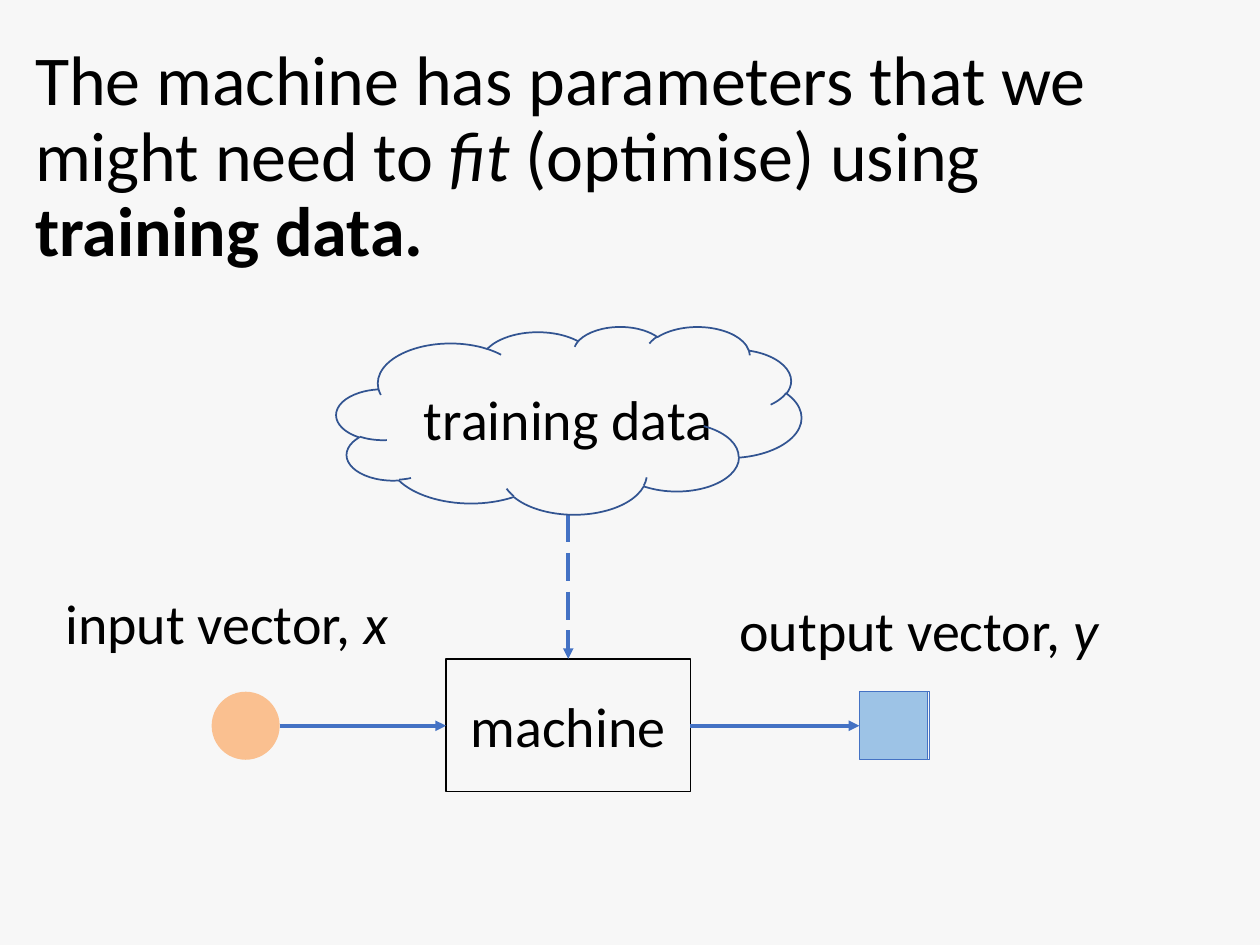
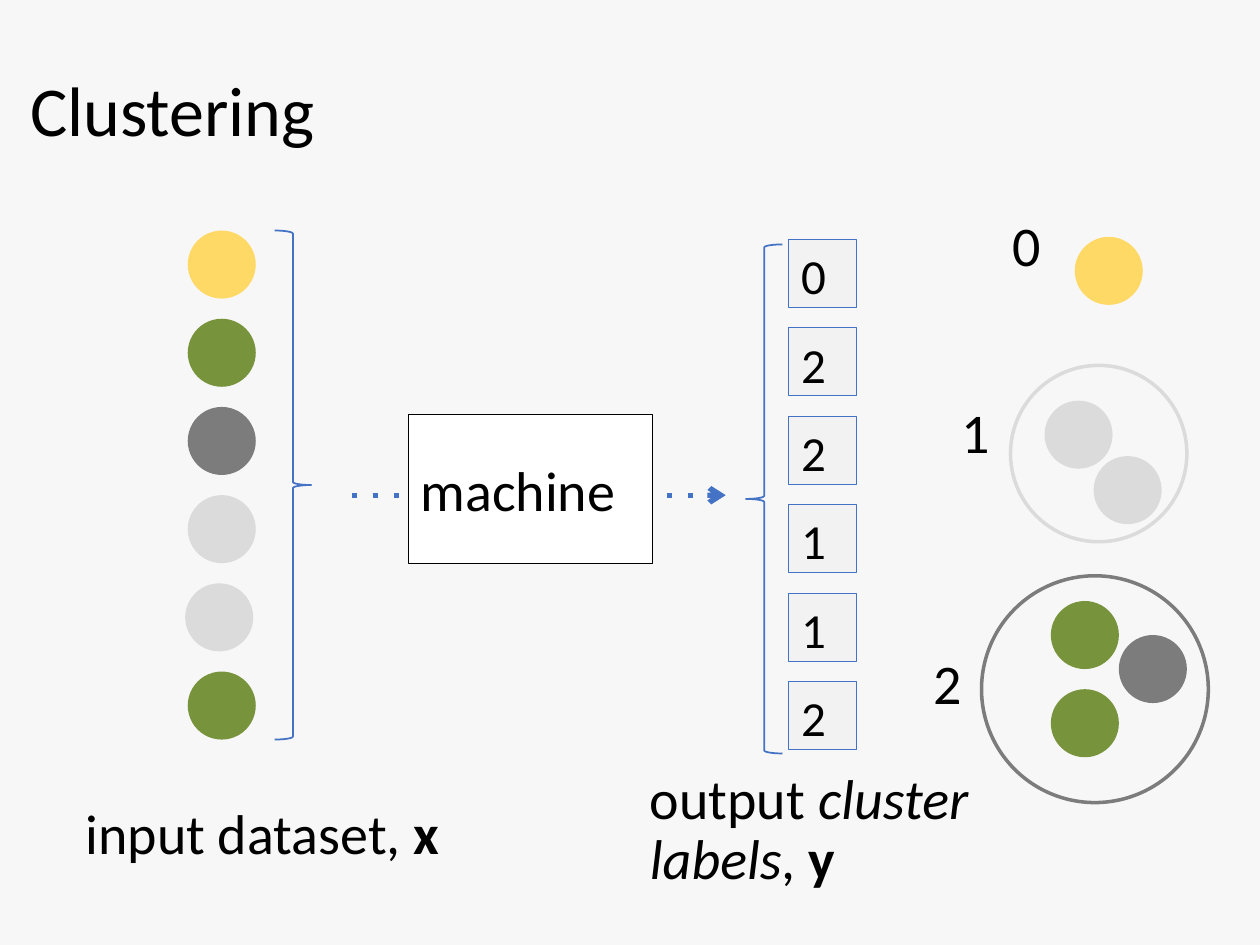
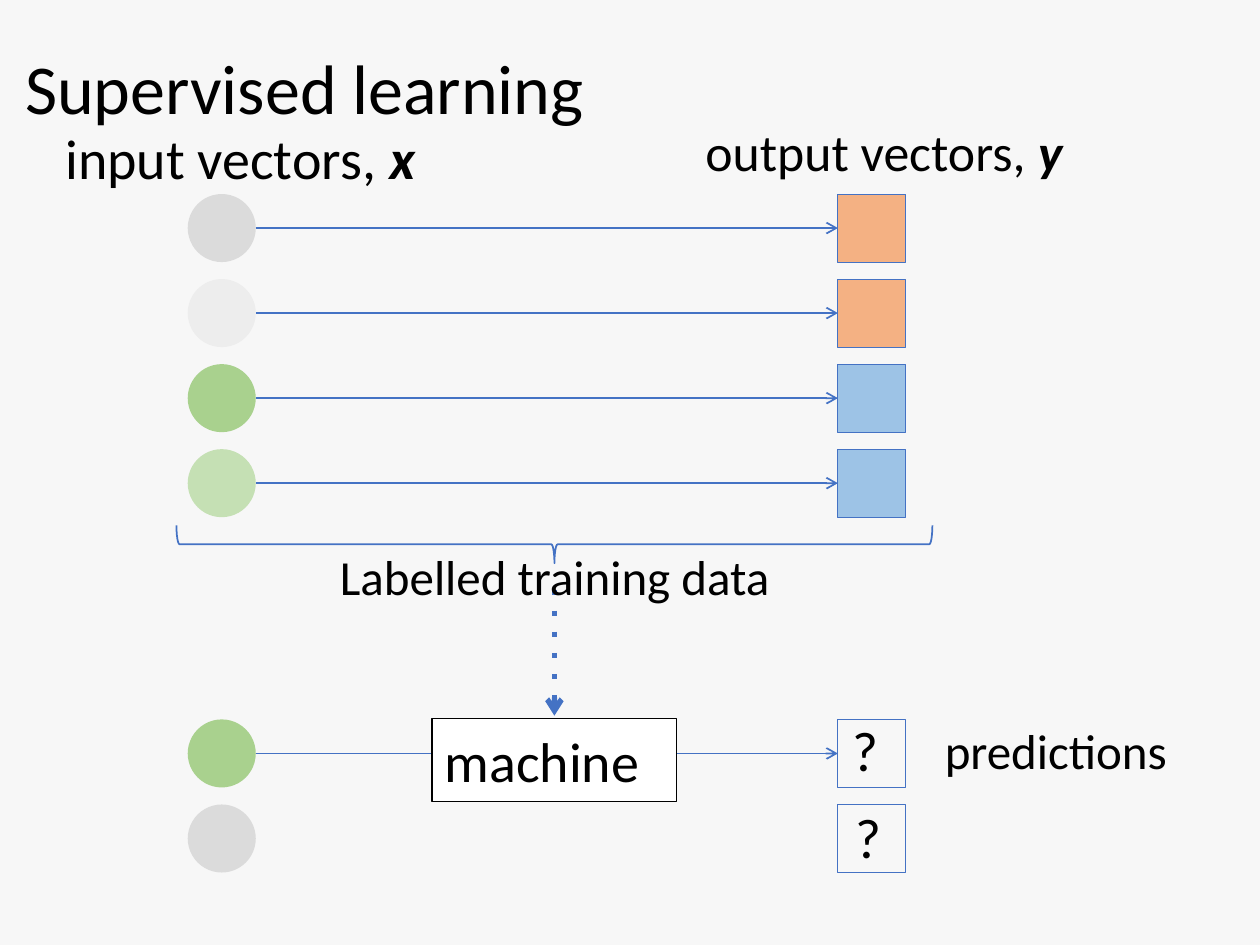
from dataclasses import dataclass
from lxml.etree import SubElement
from pptx import Presentation
from pptx.dml.color import RGBColor
from pptx.enum.shapes import MSO_CONNECTOR, MSO_SHAPE
from pptx.enum.text import MSO_ANCHOR, PP_ALIGN
from pptx.oxml.ns import qn
from pptx.util import Inches, Pt


@dataclass(frozen=True)
class Theme:
    font: str = "Calibri"
    title: float = 40
    label: float = 32
    heading: float = 29.6
    small: float = 28
    background: str = "F7F7F7"
    ink: str = "000000"
    accent: str = "4472C4"
    cloud: str = "325491"
    white: str = "FFFFFF"
    cell: str = "F2F2F2"
    peach: str = "FAC090"
    orange: str = "F4B183"
    blue: str = "9DC3E6"
    yellow: str = "FFD966"
    olive: str = "77933C"
    dark: str = "7C7C7C"
    grey: str = "DBDBDB"
    pale: str = "EDEDED"
    green: str = "A9D18E"
    light_green: str = "C5E0B4"


T = Theme()
UNIT = 0.54
BODY = dict(before=7.5, spacing=0.9)

FIT_TITLE = [("The machine has parameters that we might need to ", ""), ("fit", "i"),
             (" (optimise) using ", ""), ("training data.", "b")]

DATASET_TOP, DATASET_PITCH = 1.83, 0.7
DATASET = [(1.49, T.yellow), (1.49, T.olive), (1.49, T.dark),
           (1.49, T.grey), (1.47, T.grey), (1.49, T.olive)]
LABELS_LEFT, LABELS_TOP, LABELS_PITCH = 6.26, 1.9, 0.702
LABELS = ["0", "2", "2", "1", "1", "2"]
CLUSTER_MEMBERS = [(8.53, 1.88, T.yellow), (8.29, 3.18, T.grey), (8.88, 5.04, T.dark),
                   (8.68, 3.62, T.grey), (8.34, 5.47, T.olive), (8.34, 4.77, T.olive)]
CLUSTER_RINGS = [(7.79, 4.57, 1.8, T.dark), (8.02, 2.9, 1.4, T.grey)]
CLUSTER_NAMES = [("0", 7.94, 1.62), ("1", 7.53, 3.11), ("2", 7.31, 5.1)]

INPUT_LEFT, OUTPUT_LEFT, PAIR_PITCH = 1.49, 6.65, 0.675
TRAINING_TOP, TEST_TOP = 1.54, 5.71
TRAINING = [(T.grey, T.orange), (T.pale, T.orange), (T.green, T.blue), (T.light_green, T.blue)]
TEST = [(T.green, 6.67, 5.63), (T.grey, 6.69, 6.32)]


def rgb(value):
    return RGBColor.from_string(value)


def write(tf, runs, size, before=0, spacing=None, align=None, anchor=MSO_ANCHOR.TOP, wrap=True):
    tf.word_wrap = wrap
    tf.vertical_anchor = anchor
    p = tf.paragraphs[0]
    p.alignment = align or PP_ALIGN.LEFT
    p.space_before = Pt(before)
    if spacing:
        p.line_spacing = spacing
    p.font.name, p.font.size = T.font, Pt(size)
    p.font.color.rgb = rgb(T.ink)
    for words, style in [(runs, "")] if isinstance(runs, str) else runs:
        r = p.add_run()
        r.text = words
        if "b" in style:
            r.font.bold = True
        if "i" in style:
            r.font.italic = True


def text(s, box, runs, size=T.label, before=6.4, **style):
    tb = s.shapes.add_textbox(*map(Inches, box))
    write(tb.text_frame, runs, size, before, **style)


def shape(s, kind, box, fill=None, line=None, width=0.5):
    sp = s.shapes.add_shape(kind, *map(Inches, box))
    sp.shadow.inherit = False
    if fill:
        sp.fill.solid()
        sp.fill.fore_color.rgb = rgb(fill)
    else:
        sp.fill.background()
    if line:
        sp.line.color.rgb = rgb(line)
        sp.line.width = Pt(width)
    else:
        sp.line.fill.background()
    return sp


def dot(s, x, y, colour):
    shape(s, MSO_SHAPE.OVAL, (x, y, UNIT, UNIT), colour)


def square(s, x, y, fill=None):
    return shape(s, MSO_SHAPE.RECTANGLE, (x, y, UNIT, UNIT), fill, T.accent)


def brace(s, kind, box):
    return shape(s, kind, box, line=T.accent, width=1)


def machine(s, box, fill=T.white, align=PP_ALIGN.LEFT):
    sp = shape(s, MSO_SHAPE.RECTANGLE, box, fill, T.ink, 0.75)
    write(sp.text_frame, "machine", T.label, 6.4, align=align, anchor=MSO_ANCHOR.MIDDLE)


def arrow(s, x1, y1, x2, y2, width=1, head="arrow", dash=None):
    c = s.shapes.add_connector(MSO_CONNECTOR.STRAIGHT, *map(Inches, (x1, y1, x2, y2)))
    c.line.color.rgb = rgb(T.accent)
    c.line.width = Pt(width)
    ln = c.line._get_or_add_ln()
    if dash:
        SubElement(ln, qn("a:prstDash"), val=dash)
    SubElement(ln, qn("a:tailEnd"), type=head)
    SubElement(c._element.spPr, qn("a:effectLst"))


def new_slide(prs, title, box):
    s = prs.slides.add_slide(prs.slide_layouts[6])
    s.background.fill.solid()
    s.background.fill.fore_color.rgb = rgb(T.background)
    text(s, box, title, T.title, 0, spacing=0.9, anchor=MSO_ANCHOR.MIDDLE)
    return s


def fitting(prs):
    s = new_slide(prs, FIT_TITLE, (0.18, 0.13, 9.48, 2.26))
    text(s, (0.42, 4.68, 3.6, 0.75), [("input vector, ", ""), ("x", "i")], **BODY)
    text(s, (5.77, 4.68, 3.22, 0.75), [("output vector, ", ""), ("y", "i")])
    dot(s, 1.68, 5.49, T.peach)
    square(s, 6.84, 5.49)
    machine(s, (3.54, 5.23, 1.94, 1.05), None, PP_ALIGN.CENTER)
    square(s, 6.82, 5.49, T.blue)
    arrow(s, 2.22, 5.76, 3.54, 5.76, 2, "triangle")
    arrow(s, 5.48, 5.76, 6.82, 5.76, 2, "triangle")
    text(s, (3.21, 3, 2.6, 0.75), "training data", align=PP_ALIGN.CENTER)
    arrow(s, 4.51, 4.08, 4.51, 5.23, 2, "triangle", "lgDash")
    shape(s, MSO_SHAPE.CLOUD, (2.67, 2.59, 3.69, 1.49), line=T.cloud, width=1)


def clustering(prs):
    s = new_slide(prs, "Clustering", (0.14, 0.18, 8.62, 1.45))
    arrow(s, 2.79, 3.93, 5.76, 3.93, 3, dash="dot")
    for i, (x, colour) in enumerate(DATASET):
        dot(s, x, DATASET_TOP + i * DATASET_PITCH, colour)
    machine(s, (3.24, 3.29, 1.94, 1.18))
    brace(s, MSO_SHAPE.RIGHT_BRACE, (2.18, 1.83, 0.29, 4.04))
    for x, y, colour in CLUSTER_MEMBERS:
        dot(s, x, y, colour)
    for x, y, size, colour in CLUSTER_RINGS:
        shape(s, MSO_SHAPE.OVAL, (x, y, size, size), line=colour, width=2)
    text(s, (0.58, 6.35, 3.15, 0.75), [("input dataset, ", ""), ("x", "b")], **BODY)
    text(s, (5.06, 6.07, 3.47, 0.75),
         [("output ", ""), ("cluster labels", "i"), (", ", ""), ("y", "b")], **BODY)
    for i, label in enumerate(LABELS):
        sp = square(s, LABELS_LEFT, LABELS_TOP + i * LABELS_PITCH, T.cell)
        write(sp.text_frame, label, T.small)
    brace(s, MSO_SHAPE.LEFT_BRACE, (5.92, 1.94, 0.29, 4.04))
    for name, x, y in CLUSTER_NAMES:
        text(s, (x, y, 0.43, 0.64), name, before=0, wrap=False)


def supervised(prs):
    s = new_slide(prs, "Supervised learning", (0.1, 0, 8.62, 1.45))
    start, middle = INPUT_LEFT + UNIT, UNIT / 2
    arrow(s, start, TEST_TOP + middle, OUTPUT_LEFT, TEST_TOP + middle)
    arrow(s, 4.4, 4.68, 4.4, 5.68, 3, dash="dot")
    for i, (source, target) in enumerate(TRAINING):
        y = TRAINING_TOP + i * PAIR_PITCH
        dot(s, INPUT_LEFT, y, source)
        square(s, OUTPUT_LEFT, y, target)
        arrow(s, start, y + middle, OUTPUT_LEFT, y + middle)
    for i, (source, mark_x, mark_y) in enumerate(TEST):
        y = TEST_TOP + i * PAIR_PITCH
        dot(s, INPUT_LEFT, y, source)
        square(s, OUTPUT_LEFT, y)
        text(s, (mark_x, mark_y, 0.47, 0.75), "?")
    text(s, (2.6, 4.34, 3.63, 0.67), "Labelled training data", T.small, **BODY)
    text(s, (7.4, 5.67, 2.34, 1.45), "predictions", T.small, 5.6)
    machine(s, (3.43, 5.7, 1.94, 0.66))
    brace(s, MSO_SHAPE.RIGHT_BRACE, (4.25, 1.32, 0.3, 6)).rotation = 90
    text(s, (0.42, 0.99, 3.6, 0.75), [("input vectors, ", ""), ("x", "bi")], **BODY)
    text(s, (5.5, 0.9, 3.22, 0.75), [("output vectors, ", ""), ("y", "bi")], T.heading, 5.9)


def main():
    prs = Presentation()
    prs.slide_width, prs.slide_height = Inches(10), Inches(7.5)
    for build in (fitting, clustering, supervised):
        build(prs)
    prs.save("out.pptx")


if __name__ == "__main__":
    main()
